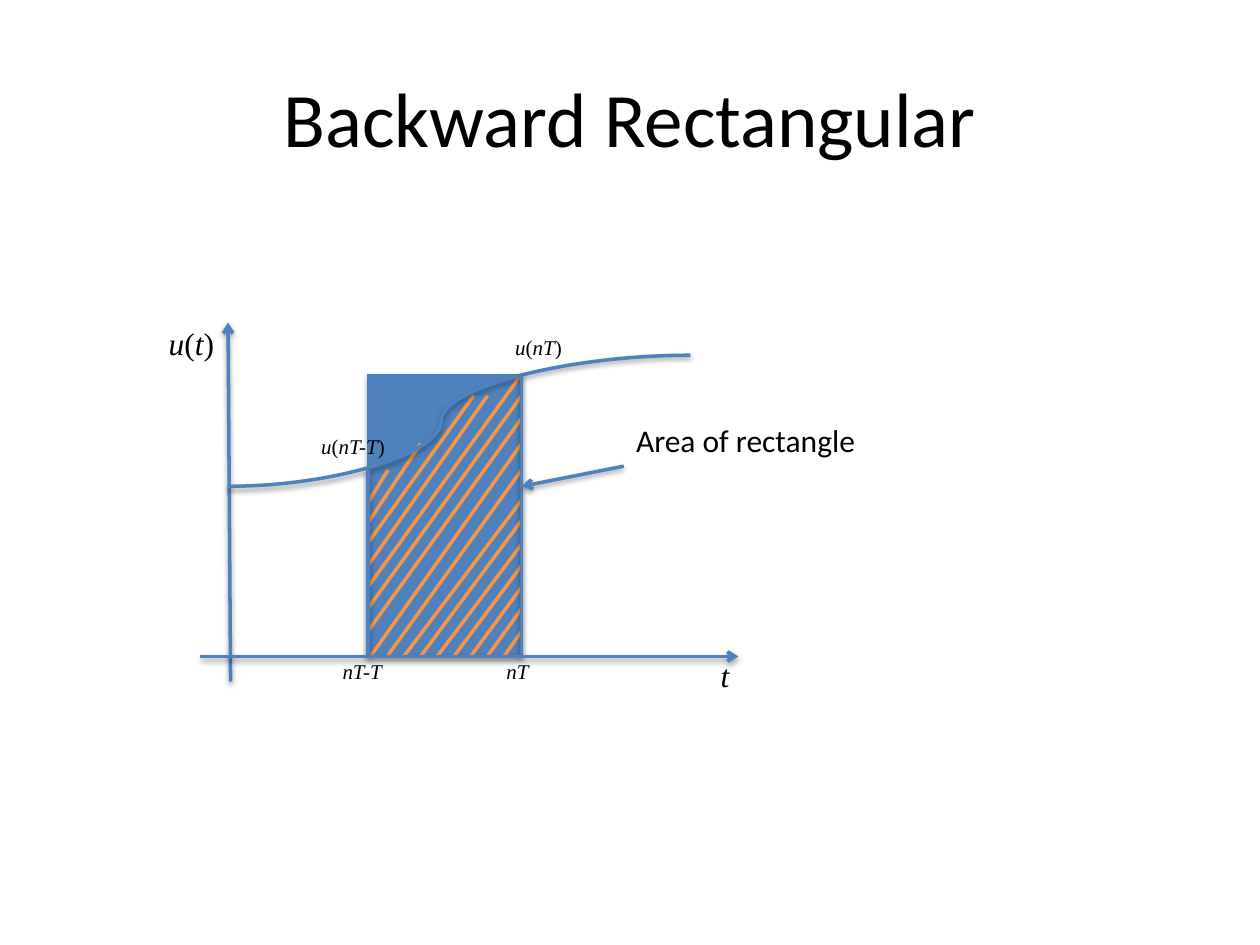
import itertools

import pptx
import pptx.dml.color
import pptx.enum.shapes
import pptx.enum.text
import pptx.oxml
import pptx.oxml.ns
import pptx.util

Inches = pptx.util.Inches
Pt = pptx.util.Pt
Color = pptx.dml.color.RGBColor.from_string
Connector = pptx.enum.shapes.MSO_CONNECTOR
qn = pptx.oxml.ns.qn

THEME = {
    "ink": "000000", "blue": "4F81BD", "edge": "4B7EBC", "hatch": "F79646",
    "title": 44, "label": 18, "mark": 12, "stroke": 2,
    "sans": "Calibri", "math": "Times New Roman",
}


def draw_line(start, end, color="blue", kind=Connector.STRAIGHT, arrow=False, shadow=True):
    line = plot.add_connector(kind, *map(Inches, start + end))
    line.line.color.rgb = Color(THEME[color])
    line.line.width = Pt(THEME["stroke"])
    if arrow:
        line.line._get_or_add_ln().append(
            pptx.oxml.parse_xml('<a:tailEnd %s type="arrow"/>' % pptx.oxml.ns.nsdecls("a")))
    if not shadow:
        pptx.oxml.ns  # shadow is switched off by an empty effect list
        line._element.spPr.append(
            pptx.oxml.parse_xml("<a:effectLst %s/>" % pptx.oxml.ns.nsdecls("a")))
    return line


def write_label(text, box, size, face):
    label = plot.add_textbox(*map(Inches, box))
    frame = label.text_frame
    frame.word_wrap = False
    frame.auto_size = pptx.enum.text.MSO_AUTO_SIZE.SHAPE_TO_FIT_TEXT
    # In mathematical labels the brackets stand upright
    for bracket, letters in itertools.groupby(text, lambda letter: letter in "()"):
        run = frame.paragraphs[0].add_run()
        run.text = "".join(letters)
        run.font.color.rgb = Color(THEME["ink"])
        style = {"name": THEME[face], "size": Pt(THEME[size]),
                 "italic": face == "math" and not bracket}
        for attribute, value in style.items():
            setattr(run.font, attribute, value)


deck = pptx.Presentation()
deck.slide_width, deck.slide_height = Inches(10), Inches(7.5)
slide = deck.slides.add_slide(deck.slide_layouts[5])

# Title
title = slide.shapes.title
placement = {"left": 0.5, "top": 0.3, "width": 9, "height": 1.25}
for attribute, value in placement.items():
    setattr(title, attribute, Inches(value))
title.text_frame.text = "Backward Rectangular"
title.text_frame.vertical_anchor = pptx.enum.text.MSO_ANCHOR.MIDDLE
heading = title.text_frame.paragraphs[0]
heading.alignment = pptx.enum.text.PP_ALIGN.CENTER
heading.font.name = THEME["sans"]
heading.font.size = Pt(THEME["title"])
heading.font.color.rgb = Color(THEME["ink"])

# Plot, measured from the time axis and the two sample times
plot = slide.shapes.add_group_shape().shapes
base, previous, current, top = 5.21, 2.92, 4.14, 2.97

# Rectangle
area = plot.add_shape(pptx.enum.shapes.MSO_SHAPE.RECTANGLE, Inches(previous), Inches(top),
                      Inches(1.21), Inches(base - top))
area.fill.solid()
area.fill.fore_color.rgb = Color(THEME["blue"])
area.line.color.rgb = Color(THEME["edge"])
area.line.width = Pt(0.75)

# Vertical axis
draw_line((1.83, 5.41), (1.81, 2.56), arrow=True)

# Hatching: from the base to the right side, then from the left side up to the curve
right_ends = [5.01, 4.83, 4.66, 4.49, 4.32, 4.13, 3.97, 3.73, 3.52]
hatching = [((4 - 0.1325 * i, base), (current, y)) for i, y in enumerate(right_ends)]
left_starts = [5.01, 4.83, 4.66, 4.49, 4.31, 4.15, 3.99]
curve_ends = [(current, 3.32), (current, 3.14), (current, top),
              (3.87, 3.14), (3.76, 3.14), (3.34, 3.52), (3.08, 3.73)]
hatching += [((previous, y), end) for y, end in zip(left_starts, curve_ends)]
for start, end in hatching:
    draw_line(start, end, color="hatch", shadow=False)

# Signal curve
signal = draw_line((1.81, 3.86), (5.48, 2.82), kind=Connector.CURVE)
bends = signal._element.spPr.find(qn("a:prstGeom")).get_or_add_avLst()
bends.append(pptx.oxml.parse_xml(
    '<a:gd %s name="adj1" fmla="val 46100"/>' % pptx.oxml.ns.nsdecls("a")))

# Sample lines, time axis and pointer
draw_line((current, base), (current, top))
draw_line((previous, 3.73), (previous, base))
draw_line((1.59, base), (5.86, base), arrow=True)
draw_line((4.95, 3.7), (current, 3.86), arrow=True)

# Labels
for text, box, size, face in [
    ("u(t)", (1.24, 2.52, 0.59, 0.4), "label", "math"),
    ("t", (5.62, 5.16, 0.29, 0.4), "label", "math"),
    ("u(nT-T)", (2.45, 3.39, 0.73, 0.3), "mark", "math"),
    ("nT-T", (2.62, 5.18, 0.55, 0.3), "mark", "math"),
    ("nT", (3.92, 5.18, 0.41, 0.3), "mark", "math"),
    ("u(nT)", (3.99, 2.61, 0.59, 0.3), "mark", "math"),
    ("Area of rectangle", (4.95, 3.29, 1.96, 0.4), "label", "sans"),
]:
    write_label(text, box, size, face)

deck.save("out.pptx")
